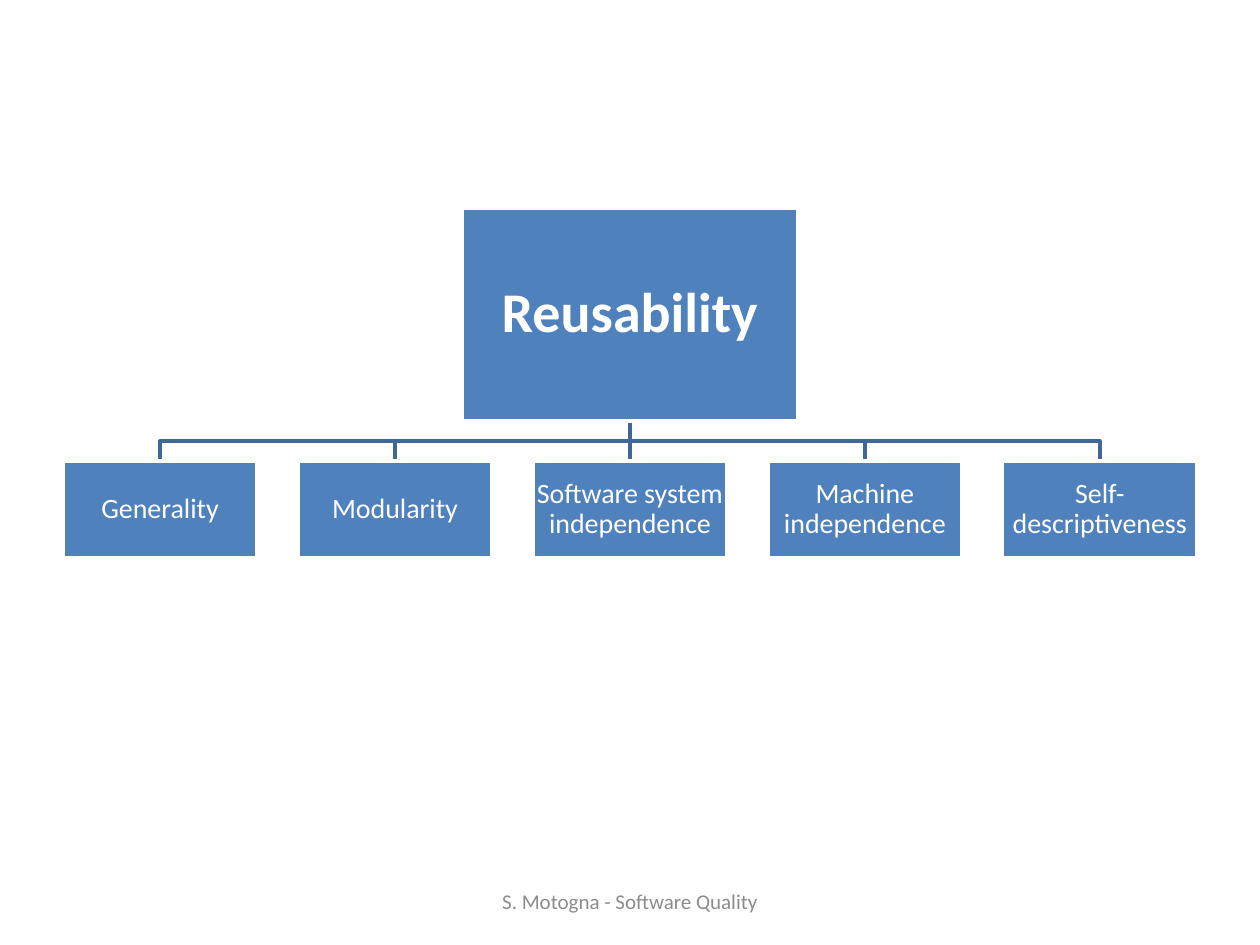
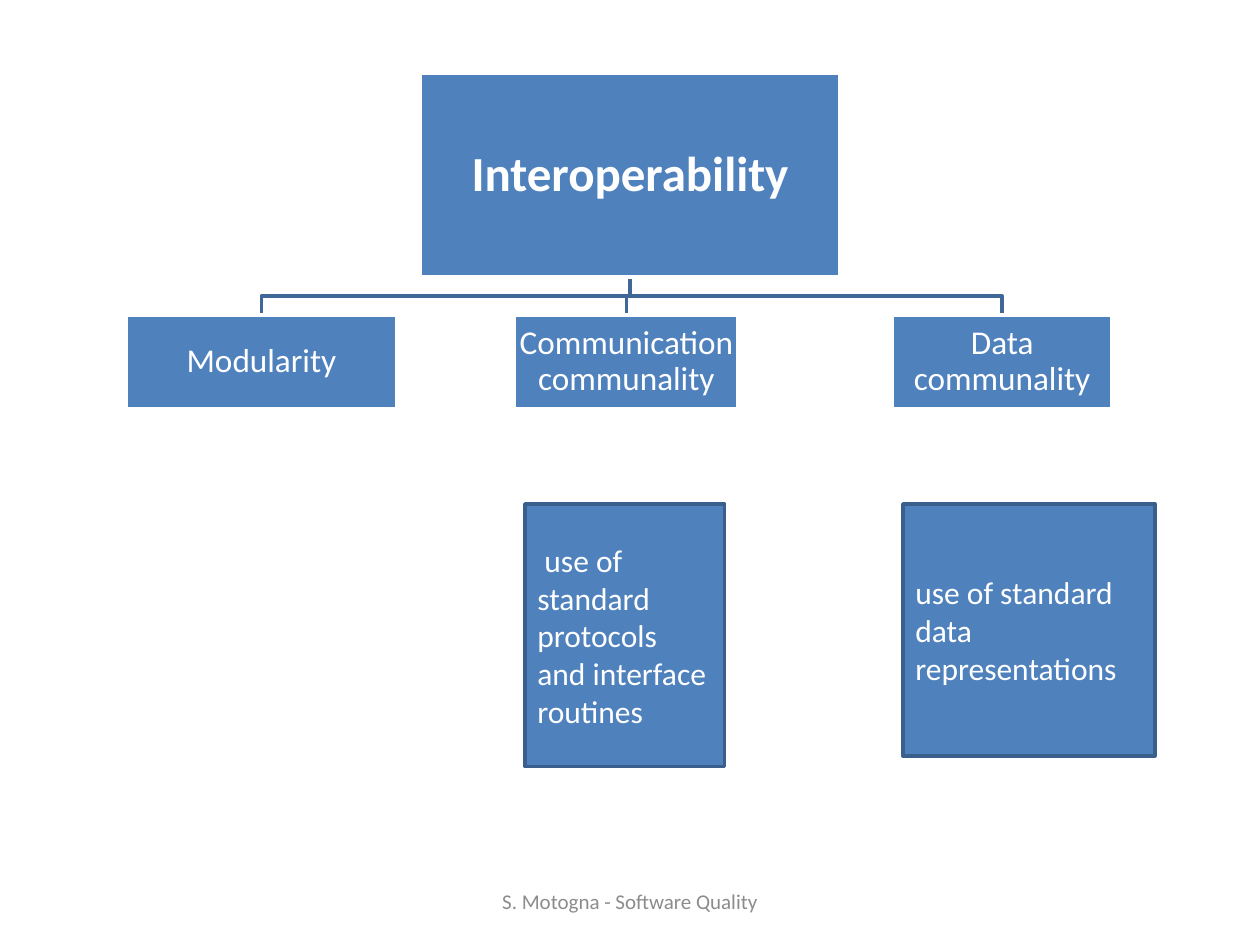
from pptx import Presentation
from pptx.dml.color import RGBColor
from pptx.enum.shapes import MSO_CONNECTOR, MSO_SHAPE
from pptx.enum.text import MSO_ANCHOR, MSO_AUTO_SIZE, PP_ALIGN
from pptx.oxml.ns import qn
from pptx.util import Inches, Pt

COLS, ROWS = 120, 90
WIDE, HIGH = Inches(10), Inches(7.5)
HUES = {"box": "4F81BD", "edge": "3A5F8C", "link": "3F6797",
        "white": "FFFFFF", "foot": "8C8C8C"}
FONT = "Calibri"
FOOT = "S. Motogna - Software Quality"


def hue(name):
    return RGBColor.from_string(HUES[name])


def grid(col, row, width, height):
    """Turn columns and rows into slide lengths."""
    return [int(WIDE * col / COLS), int(HIGH * row / ROWS),
            int(WIDE * width / COLS), int(HIGH * height / ROWS)]


def apply(item, values):
    for name, value in values.items():
        setattr(item, name, value)


def write(shape, lines, size, color="white", bold=False,
          align=PP_ALIGN.CENTER, space=0.9, inset=None):
    frame = shape.text_frame
    frame.text = "\n".join(lines)
    apply(frame, {"word_wrap": True, "auto_size": MSO_AUTO_SIZE.NONE,
                  "vertical_anchor": MSO_ANCHOR.MIDDLE})
    if inset is not None:
        sides = ("left", "top", "right", "bottom")
        apply(frame, {f"margin_{side}": Inches(inset) for side in sides})
    for para in frame.paragraphs:
        apply(para, {"alignment": align, "line_spacing": space})
        apply(para.font, {"name": FONT, "size": Pt(size), "bold": bold})
        para.font.color.rgb = hue(color)


def stroke(shape, color):
    shape.line.color.rgb = hue(color)
    shape.line.width = Pt(2)


def paint(shape, edge):
    shape.fill.solid()
    shape.fill.fore_color.rgb = hue("box")
    stroke(shape, edge)


def block(slide, area, edge="white"):
    shape = slide.shapes.add_shape(MSO_SHAPE.RECTANGLE, *grid(*area))
    shape.shadow.inherit = False
    paint(shape, edge)
    return shape


def link(slide, root, node):
    """Join the root's bottom to the node's top, behind both boxes."""
    start = root.left + root.width // 2, root.top + root.height
    end = node.left + node.width // 2, node.top
    if abs(start[0] - end[0]) < Pt(1):
        line = slide.shapes.add_connector(MSO_CONNECTOR.STRAIGHT, *start, *end)
        line.begin_connect(root, 2)
        line.end_connect(node, 0)
        line._element.spPr.get_or_add_ln()
        stroke(line, "link")
        line._element.spPr.append(
            line._element.makeelement(qn("a:effectLst"), {}))
    else:
        mid = (start[1] + end[1]) // 2
        path = slide.shapes.build_freeform(*start)
        path.add_line_segments([(start[0], mid), (end[0], mid), end],
                               close=False)
        line = path.convert_to_shape()
        line.fill.background()
        line.shadow.inherit = False
        stroke(line, "link")
    slide.shapes._spTree.insert(2, line._element)


def tree(slide, title, area, size, nodes, row, height, small):
    """Draw the title box and a row of nodes given as (text, col, width)."""
    root = slide.shapes.title
    apply(root, dict(zip(("left", "top", "width", "height"), grid(*area))))
    paint(root, "white")
    write(root, [title], size, bold=True, inset=0.02)
    for text, col, width in nodes:
        node = block(slide, (col, row, width, height))
        write(node, [text], small, inset=0.01)
        link(slide, root, node)


def note(slide, area, lines):
    write(block(slide, area, "edge"), lines, 18,
          align=PP_ALIGN.LEFT, space=1.0)


def page(deck):
    """Add a slide with the shared footer."""
    slide = deck.slides.add_slide(deck.slide_layouts[5])
    foot = slide.shapes.add_textbox(*grid(41, 83.4, 38, 4.8))
    write(foot, [FOOT], 12, "foot", space=1.0)
    return slide


def reuse(deck):
    names = ["Generality", "Modularity", "Software system independence",
             "Machine independence", "Self-descriptiveness"]
    edge, width = 6, 18.5
    step = (COLS - 2 * edge - width) / (len(names) - 1)
    nodes = [(name, edge + i * step, width) for i, name in enumerate(names)]
    tree(page(deck), "Reusability", (44, 19.8, 32, 20.3), 32,
         nodes, 43.9, 9.2, 16)


def interop(deck):
    slide = page(deck)
    nodes = [("Modularity", 12, 25.8),
             ("Communication communality", 49, 21.3),
             ("Data communality", 85, 20.9)]
    tree(slide, "Interoperability", (40, 7, 40, 19.4), 28,
         nodes, 30, 8.9, 19)
    note(slide, (86, 48, 24, 24), ["use of standard data representations"])
    note(slide, (50, 48, 19, 25),
         [" use of standard protocols", "and interface routines"])


def main():
    deck = Presentation()
    apply(deck, {"slide_width": WIDE, "slide_height": HIGH})
    reuse(deck)
    interop(deck)
    deck.save("out.pptx")


if __name__ == "__main__":
    main()
